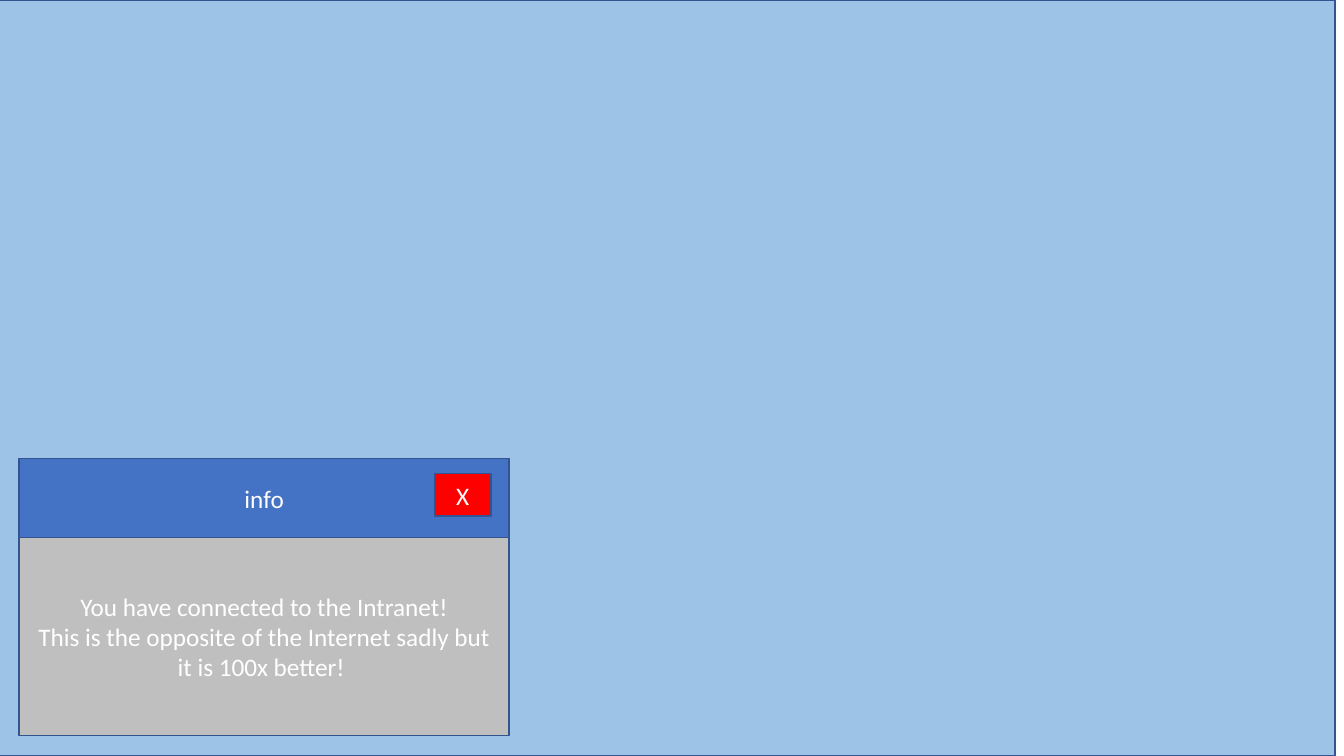
from pptx import Presentation
from pptx.dml.color import RGBColor
from pptx.enum.shapes import MSO_SHAPE
from pptx.enum.text import MSO_ANCHOR, PP_ALIGN
from pptx.util import Inches, Pt

RECTANGLE = MSO_SHAPE.RECTANGLE
MIDDLE = MSO_ANCHOR.MIDDLE
CENTER = PP_ALIGN.CENTER

PAGE_WIDTH, PAGE_HEIGHT = 13.33, 7.5
DIALOG_LEFT, DIALOG_TOP, DIALOG_WIDTH = 0.19, 4.55, 4.86
TITLE_HEIGHT, MESSAGE_HEIGHT = 0.78, 1.97
OUTLINE = "325491"
FONT_FORMAT = {"name": "Calibri", "size": Pt(18)}
MESSAGE = [
    "You have connected to the Intranet!",
    "This is the opposite of the Internet sadly but it is 100x better! ",
]


def color(value):
    return RGBColor.from_string(value)


def write_lines(box, lines):
    frame = box.text_frame
    frame.word_wrap = True
    frame.vertical_anchor = MIDDLE
    frame.text = "\n".join(lines)
    for para in frame.paragraphs:
        para.alignment = CENTER
        for span in para.runs:
            for name, value in FONT_FORMAT.items():
                setattr(span.font, name, value)
            span.font.color.rgb = color("FFFFFF")


def add_panel(page, left, top, width, height, fill, lines=()):
    box = page.shapes.add_shape(
        RECTANGLE, Inches(left), Inches(top), Inches(width), Inches(height)
    )
    box.shadow.inherit = False
    box.fill.solid()
    box.fill.fore_color.rgb = color(fill)
    box.line.color.rgb = color(OUTLINE)
    box.line.width = Pt(1)
    if lines:
        write_lines(box, lines)


def add_dialog(page):
    message_top = DIALOG_TOP + TITLE_HEIGHT
    add_panel(page, DIALOG_LEFT, message_top, DIALOG_WIDTH, MESSAGE_HEIGHT,
              "BFBFBF", MESSAGE)
    add_panel(page, DIALOG_LEFT, DIALOG_TOP, DIALOG_WIDTH, TITLE_HEIGHT,
              "4472C4", ["info"])
    add_panel(page, 4.31, 4.7, 0.56, 0.42, "FF0000", ["X"])


def main():
    deck = Presentation()
    deck.slide_width = Inches(PAGE_WIDTH)
    deck.slide_height = Inches(PAGE_HEIGHT)
    page = deck.slides.add_slide(deck.slide_layouts[6])
    add_panel(page, -0.09, 0, PAGE_WIDTH, PAGE_HEIGHT, "9DC3E6")
    add_dialog(page)
    deck.save("out.pptx")


main()
